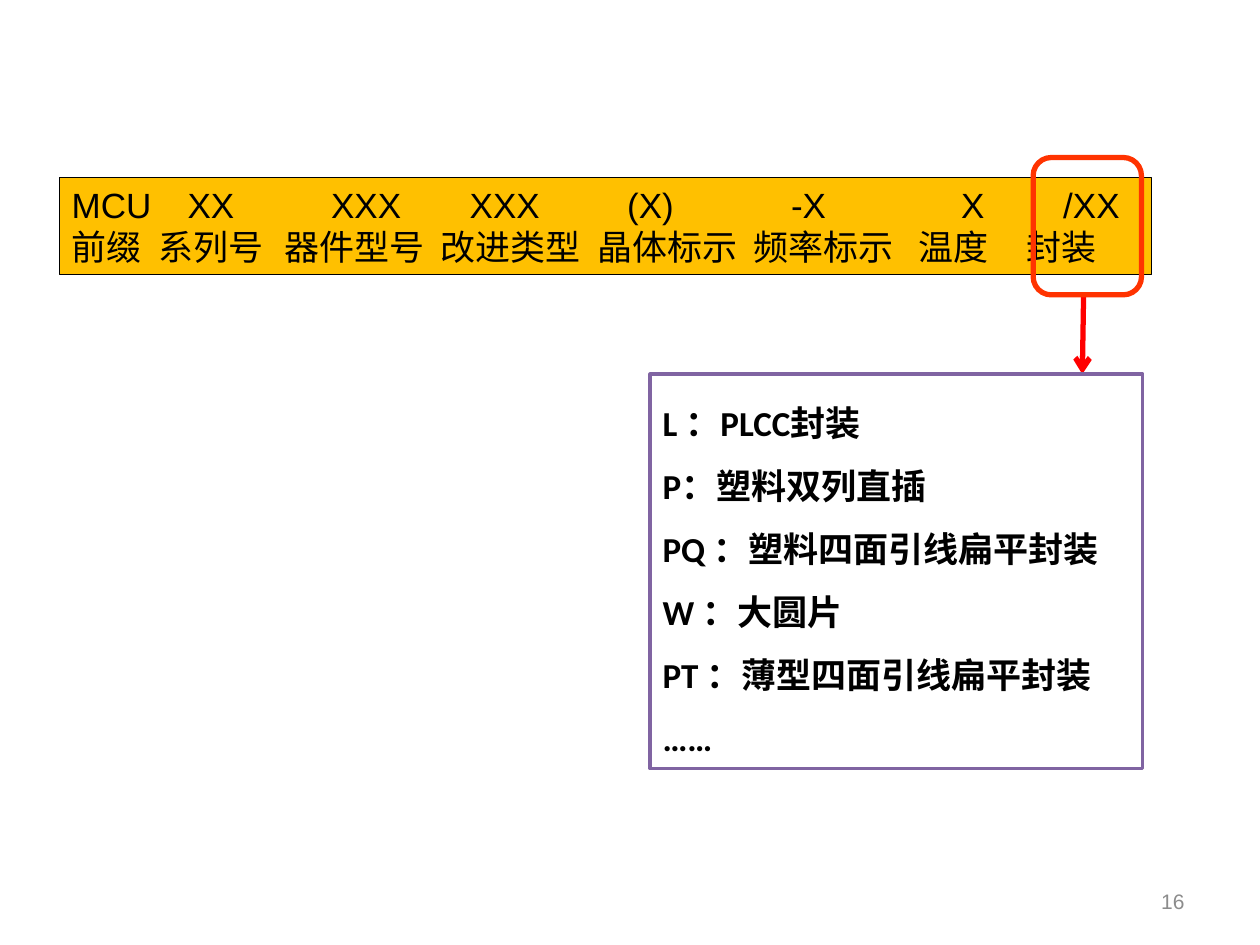
from lxml import etree
from pptx import Presentation
from pptx.dml.color import RGBColor
from pptx.enum import shapes, text
from pptx.oxml import ns
from pptx.util import Inches, Pt

BLACK = RGBColor(0x00, 0x00, 0x00)
WHITE = RGBColor(0xFF, 0xFF, 0xFF)
GREY = RGBColor(0x8C, 0x8C, 0x8C)
AMBER = RGBColor(0xFF, 0xC0, 0x00)
PURPLE = RGBColor(0x80, 0x64, 0xA2)
RED = RGBColor(0xFF, 0x00, 0x00)
ORANGE_RED = RGBColor(0xFF, 0x33, 0x00)

# Each naming row: its fields, and the tab stops (inches) of all but the first
NAMING_ROWS = [
    (["MCU", "XX", "XXX", "XXX", "(X)", "-X", "X", "/XX"],
     [0.92, 2.06, 3.16, 4.41, 5.71, 7.06, 7.87]),
    (["前缀", "系列号", "器件型号", "改进类型", "晶体标示", "频率标示", "温度", "封装"],
     [0.69, 1.69, 2.93, 4.17, 5.41, 6.72, 7.58]),
]
PACKAGES = [
    "L\u00a0：PLCC封装",
    "P：塑料双列直插",
    "PQ\u00a0：塑料四面引线扁平封装",
    "W\u00a0：大圆片",
    "PT\u00a0：薄型四面引线扁平封装",
    "……",
]


def add_child(parent, tag, **attributes):
    return etree.SubElement(parent, ns.qn(tag), attributes)


def add_frame(page, kind, place, fill, line, width):
    box = page.shapes.add_shape(kind, *map(Inches, place))
    box.shadow.inherit = False
    if fill is None:
        box.fill.background()
    else:
        box.fill.solid()
        box.fill.fore_color.rgb = fill
    box.line.color.rgb = line
    box.line.width = Pt(width)
    return box


def set_tabs(para, stops):
    tabs = add_child(para._p.get_or_add_pPr(), "a:tabLst")
    for stop in stops:
        add_child(tabs, "a:tab", pos=str(Inches(stop)), algn="l")


def write_lines(box, lines, font, size, color, bold=False, spacing=None,
                align=text.PP_ALIGN.LEFT, tabs=()):
    frame = box.text_frame
    frame.word_wrap = True
    for index, line in enumerate(lines):
        para = frame.paragraphs[0] if index == 0 else frame.add_paragraph()
        para.alignment = align
        if spacing:
            para.line_spacing = spacing
        if tabs:
            set_tabs(para, tabs[index])
        span = para.add_run()
        span.text = line
        span.font.name = font
        span.font.size = Pt(size)
        span.font.bold = bold
        span.font.color.rgb = color
    return frame


def add_arrow(page, start, end, color, width):
    arrow = page.shapes.add_connector(
        shapes.MSO_CONNECTOR.STRAIGHT, *map(Inches, start + end))
    arrow.line.color.rgb = color
    arrow.line.width = Pt(width)
    add_child(arrow.line._get_or_add_ln(), "a:tailEnd", type="arrow")
    add_child(arrow._element.spPr, "a:effectLst")


def add_page_number(page, number):
    box = page.shapes.add_textbox(*map(Inches, (7.17, 6.95, 2.33, 0.4)))
    frame = write_lines(box, [number], "Arial", 12, GREY,
                        align=text.PP_ALIGN.RIGHT)
    frame.vertical_anchor = text.MSO_ANCHOR.MIDDLE


def add_text_panel(page, place, fill, line, width, lines, font, **style):
    box = add_frame(page, shapes.MSO_SHAPE.RECTANGLE, place, fill, line, width)
    frame = write_lines(box, lines, font, 20, BLACK, **style)
    frame.vertical_anchor = text.MSO_ANCHOR.TOP
    frame.auto_size = text.MSO_AUTO_SIZE.SHAPE_TO_FIT_TEXT


def main():
    deck = Presentation()
    deck.slide_width, deck.slide_height = Inches(10), Inches(7.5)
    page = deck.slides.add_slide(deck.slide_layouts[6])

    add_page_number(page, "16")

    # Part-number naming bar
    add_text_panel(page, (0.47, 1.41, 8.67, 0.77), AMBER, BLACK, 0.75,
                   ["\t".join(fields) for fields, _ in NAMING_ROWS], "Arial",
                   tabs=[stops for _, stops in NAMING_ROWS])

    # Package codes, linked to the highlighted last field
    add_arrow(page, (8.6, 2.34), (8.59, 2.97), RED, 3)
    add_text_panel(page, (5.16, 2.97, 3.91, 3.13), WHITE, PURPLE, 2,
                   PACKAGES, "Calibri", bold=True, spacing=1.5)
    add_frame(page, shapes.MSO_SHAPE.ROUNDED_RECTANGLE,
              (8.2, 1.25, 0.86, 1.09), None, ORANGE_RED, 3)

    deck.save("out.pptx")


if __name__ == "__main__":
    main()
